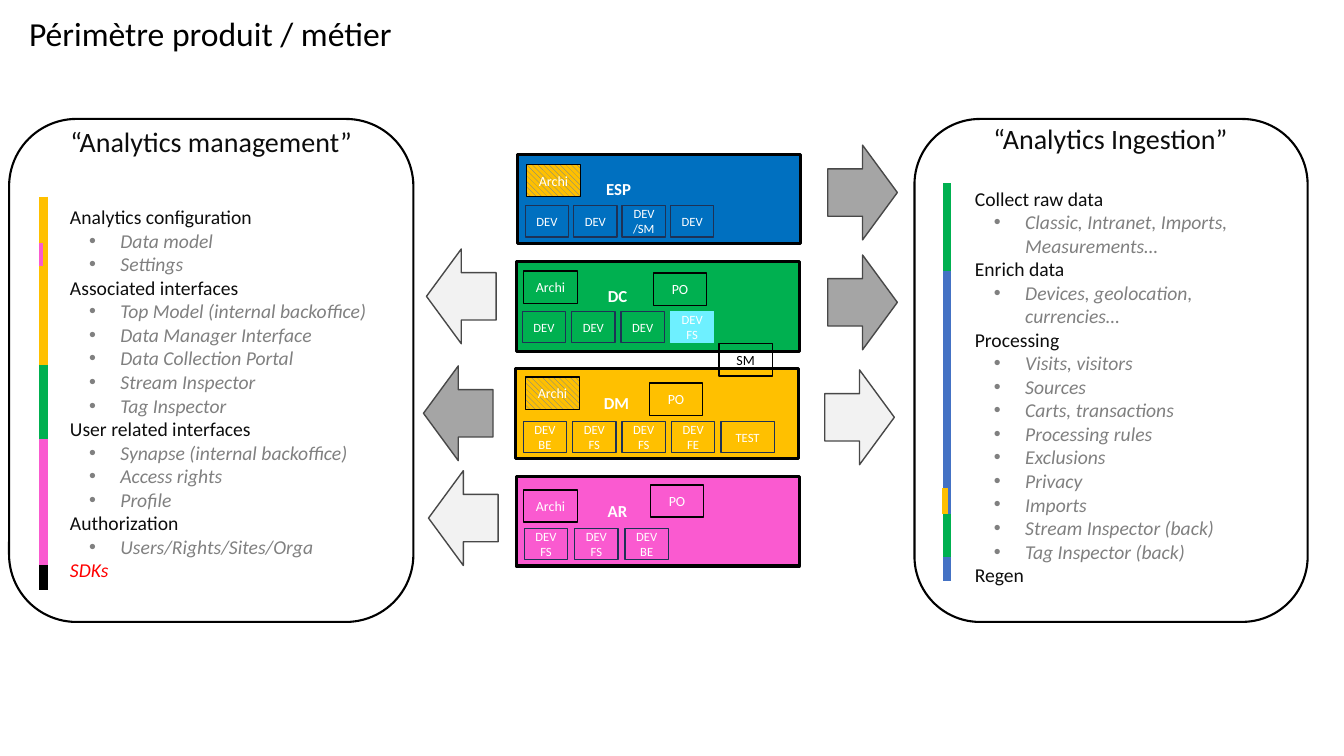
"""Build the slide showing product teams between two analytics domains."""
from lxml.etree import SubElement
from pptx import Presentation
from pptx.dml.color import RGBColor
from pptx.enum.dml import MSO_PATTERN
from pptx.enum.shapes import MSO_CONNECTOR, MSO_SHAPE
from pptx.enum.text import MSO_ANCHOR, PP_ALIGN
from pptx.oxml.ns import qn
from pptx.util import Inches, Pt

BLACK = RGBColor(0x00, 0x00, 0x00)
WHITE = RGBColor(0xFF, 0xFF, 0xFF)
INK = RGBColor(0x0D, 0x0D, 0x0D)
GRAY = RGBColor(0x80, 0x80, 0x80)
RED = RGBColor(0xFF, 0x00, 0x00)
BLUE = RGBColor(0x00, 0x70, 0xC0)
GREEN = RGBColor(0x00, 0xB0, 0x50)
GOLD = RGBColor(0xFF, 0xC0, 0x00)
PINK = RGBColor(0xFA, 0x5A, 0xD0)
CYAN = RGBColor(0x6E, 0xF0, 0xFF)
INDIGO = RGBColor(0x44, 0x72, 0xC4)
NAVY = RGBColor(0x1E, 0x32, 0x56)
DARK_ARROW = RGBColor(0xA5, 0xA5, 0xA5)
LIGHT_ARROW = RGBColor(0xF2, 0xF2, 0xF2)
ARROW_EDGE = RGBColor(0x48, 0x48, 0x48)

TITLE = "Périmètre produit / métier"
DOMAINS = [
    {"title": "“Analytics management”", "title_at": (0.36, 1.19, 3.47, 0.44),
     "at": (0.09, 1.18, 4.01, 4.99), "text_top": 0.66,
     "topics": [
         ("Analytics configuration", ["Data model", "Settings"]),
         ("Associated interfaces", [
             "Top Model (internal backoffice)", "Data Manager Interface",
             "Data Collection Portal", "Stream Inspector", "Tag Inspector"]),
         ("User related interfaces", [
             "Synapse (internal backoffice)", "Access rights", "Profile"]),
         ("Authorization", ["Users/Rights/Sites/Orga"]),
         ("SDKs", [])],
     "owners": [(0.43, 1.95, 4.34, GOLD, 6), (0.41, 2.41, 2.64, PINK, 3),
                (0.43, 3.62, 4.36, GREEN, 6), (0.43, 4.36, 5.61, PINK, 6),
                (0.43, 5.61, 5.85, BLACK, 6)]},
    {"title": "“Analytics Ingestion”", "title_at": (9.28, 1.16, 3.47, 0.44),
     "at": (9.07, 1.18, 3.9, 4.99), "text_top": 0.48,
     "topics": [
         ("Collect raw data", ["Classic, Intranet, Imports, Measurements…"]),
         ("Enrich data", ["Devices, geolocation, currencies…"]),
         ("Processing", [
             "Visits, visitors", "Sources", "Carts, transactions",
             "Processing rules", "Exclusions", "Privacy", "Imports",
             "Stream Inspector (back)", "Tag Inspector (back)"]),
         ("Regen", [])],
     "owners": [(9.39, 1.82, 2.7, GREEN, 6), (9.39, 2.69, 5.76, INDIGO, 6),
                (9.37, 4.84, 5.1, GOLD, 4.5), (9.39, 5.1, 5.53, GREEN, 6)]},
]
TOPIC_STYLES = {"SDKs": {"color": RED, "italic": True}}
TEAMS = [
    {"name": "ESP", "color": BLUE, "left": 5.13, "archi": (5.22, 1.63), "hatched": True,
     "po": None, "devs": ["DEV", "DEV", "DEV/SM", "DEV"], "devs_at": (5.21, 2.04), "pitch": 0.48},
    {"name": "DC", "color": GREEN, "left": 5.12, "archi": (5.19, 2.69), "hatched": False,
     "po": (6.48, 2.71), "devs": ["DEV", "DEV", "DEV", "DEV\nFS"],
     "devs_at": (5.18, 3.09), "pitch": 0.49, "shared_dev": 3},
    {"name": "DM", "color": GOLD, "left": 5.11, "archi": (5.21, 3.74), "hatched": True,
     "po": (6.44, 3.8), "devs": ["DEV\nBE", "DEV\nFS", "DEV\nFS", "DEV\nFE", "TEST"],
     "devs_at": (5.19, 4.18), "pitch": 0.49},
    {"name": "AR", "color": PINK, "left": 5.12, "archi": (5.19, 4.86), "hatched": False,
     "po": (6.45, 4.81), "devs": ["DEV\nFS", "DEV\nFS", "DEV\nBE"],
     "devs_at": (5.2, 5.24), "pitch": 0.5},
]
TEAM_TOP, TEAM_PITCH = 1.53, 1.065
SCRUM_MASTER = ("SM", (7.13, 3.41))
ARROWS = [
    (8.21, 1.44, 0, DARK_ARROW), (8.21, 2.53, 0, DARK_ARROW), (8.18, 3.67, 0, LIGHT_ARROW),
    (4.23, 2.47, 180, LIGHT_ARROW), (4.2, 3.63, 180, DARK_ARROW), (4.25, 4.67, 180, LIGHT_ARROW),
]


def inches(values):
    return [Inches(value) for value in values]


def style(run, size, color, **extras):
    for key, value in {"name": "Calibri", "size": Pt(size), **extras}.items():
        setattr(run.font, key, value)
    run.font.color.rgb = color


def write(frame, text, size, color, align=PP_ALIGN.CENTER, **extras):
    frame.word_wrap = True
    for index, line in enumerate(text.split("\n")):
        paragraph = frame.paragraphs[0] if index == 0 else frame.add_paragraph()
        paragraph.alignment = align
        run = paragraph.add_run()
        run.text = line
        style(run, size, color, **extras)


def add_label(shapes, at, text, size, color, **extras):
    write(shapes.add_textbox(*inches(at)).text_frame, text, size, color, **extras)


def add_box(shapes, kind, at, fill, edge, weight):
    box = shapes.add_shape(kind, *inches(at))
    box.shadow.inherit = False
    if fill is None:
        box.fill.background()
    else:
        box.fill.solid()
        box.fill.fore_color.rgb = fill
    box.line.color.rgb = edge
    box.line.width = Pt(weight)
    return box


def add_member(shapes, at, text, size, fill=None, edge=BLACK, color=WHITE):
    member = add_box(shapes, MSO_SHAPE.RECTANGLE, at, fill, edge, 1)
    member.text_frame.vertical_anchor = MSO_ANCHOR.MIDDLE
    write(member.text_frame, text, size, color)
    return member


def add_domain(shapes, domain):
    panel = add_box(shapes, MSO_SHAPE.ROUNDED_RECTANGLE, domain["at"], None, BLACK, 1.5)
    frame = panel.text_frame
    for key, value in {"word_wrap": True, "vertical_anchor": MSO_ANCHOR.TOP,
                       "margin_top": Inches(domain["text_top"])}.items():
        setattr(frame, key, value)
    entries = []
    for topic, details in domain["topics"]:
        entries.append((topic, 0, TOPIC_STYLES.get(topic, {"color": INK})))
        entries += [(detail, 1, {"color": GRAY, "italic": True}) for detail in details]
    for index, (text, level, look) in enumerate(entries):
        paragraph = frame.paragraphs[0] if index == 0 else frame.add_paragraph()
        paragraph.alignment = PP_ALIGN.LEFT
        paragraph.level = level
        properties = paragraph._p.get_or_add_pPr()
        properties.set("marL", str(Inches(0.31 + 0.5 * level)))
        properties.set("indent", str(Inches(-0.31 * level)))
        if level:
            SubElement(properties, qn("a:buFont"), typeface="Arial")
            SubElement(properties, qn("a:buChar"), char="•")
        run = paragraph.add_run()
        run.text = text
        style(run, 14, **look)
    add_label(shapes, domain["title_at"], domain["title"], 20, INK)
    for x, top, bottom, color, weight in domain["owners"]:
        owner = shapes.add_connector(MSO_CONNECTOR.STRAIGHT, *inches((x, top, x, bottom)))
        owner.line.color.rgb = color
        owner.line.width = Pt(weight)
        SubElement(owner._element.spPr, qn("a:effectLst"))


def add_team(shapes, team, top):
    band = shapes.add_group_shape().shapes
    add_box(band, MSO_SHAPE.RECTANGLE, (team["left"], top, 2.81, 0.89), team["color"], BLACK, 2.25)
    add_label(band, (team["left"] - 0.09, top + 0.19, 2.19, 0.3), team["name"], 12, WHITE, bold=True)
    left, dev_top = team["devs_at"]
    for index, dev in enumerate(team["devs"]):
        shared = index == team.get("shared_dev")
        width = 0.53 if dev == "TEST" else 0.43
        add_member(shapes, (left + index * team["pitch"], dev_top, width, 0.31), dev, 9,
                   CYAN if shared else team["color"], CYAN if shared else NAVY)
    archi = add_member(shapes, (*team["archi"], 0.54, 0.32), "Archi", 10)
    if team["hatched"]:
        archi.fill.patterned()
        archi.fill.pattern = MSO_PATTERN.WIDE_DOWNWARD_DIAGONAL
        archi.fill.fore_color.rgb = INDIGO
        archi.fill.back_color.rgb = GOLD
    if team["po"]:
        add_member(shapes, (*team["po"], 0.53, 0.32), "PO", 10)


def main():
    deck = Presentation()
    deck.slide_width, deck.slide_height = inches((13.33, 7.5))
    shapes = deck.slides.add_slide(deck.slide_layouts[6]).shapes
    add_label(shapes, (0.19, 0.08, 5.04, 0.5), TITLE, 24, BLACK, align=PP_ALIGN.LEFT)
    for domain in DOMAINS:
        add_domain(shapes, domain)
    for index, team in enumerate(TEAMS):
        add_team(shapes, team, TEAM_TOP + index * TEAM_PITCH)
    role, place = SCRUM_MASTER
    add_member(shapes, (*place, 0.53, 0.32), role, 10, color=BLACK)
    for left, top, rotation, fill in ARROWS:
        arrow = add_box(shapes, MSO_SHAPE.RIGHT_ARROW, (left, top, 0.69, 0.94), fill, ARROW_EDGE, 1)
        arrow.rotation = rotation
    deck.save("out.pptx")


if __name__ == "__main__":
    main()
